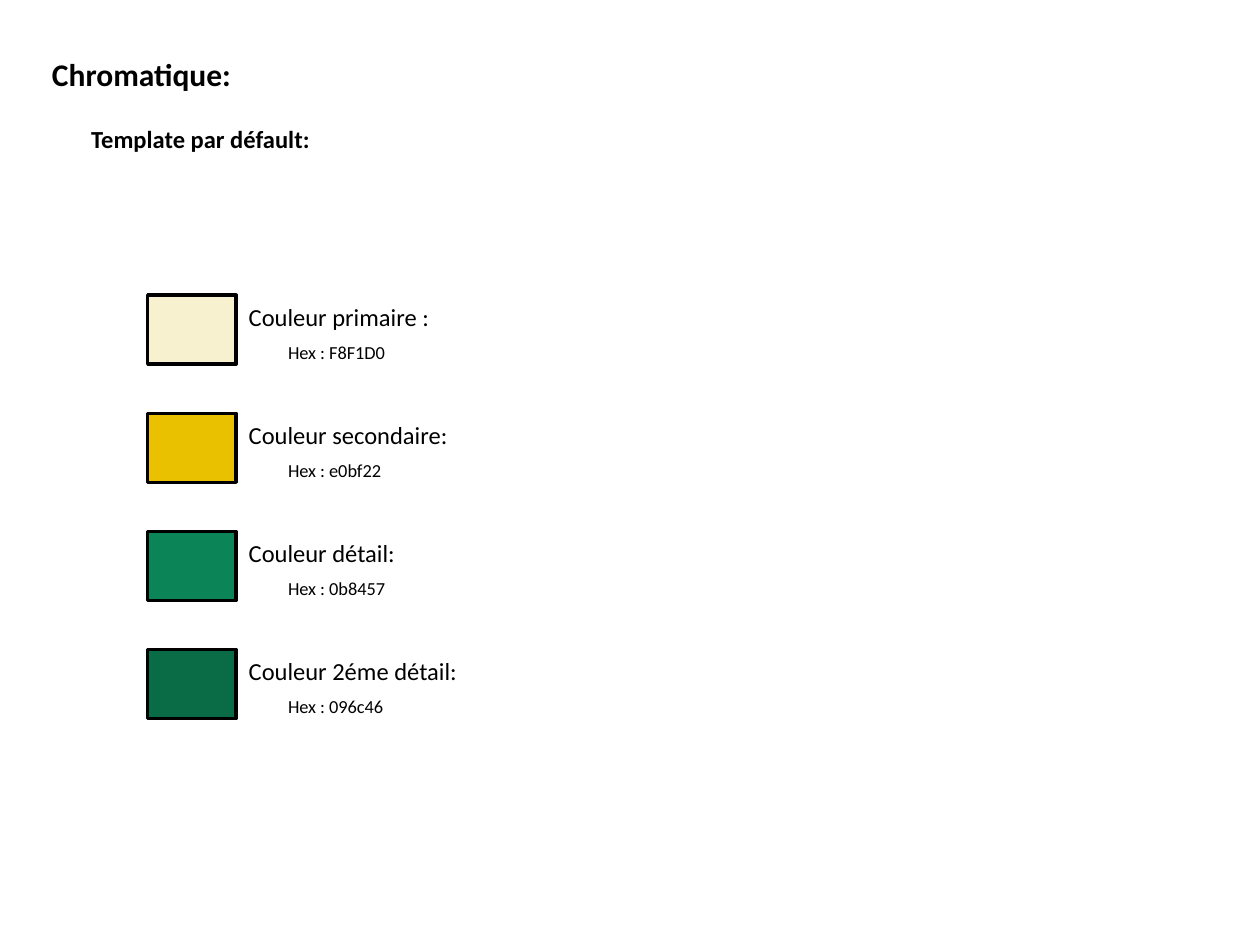
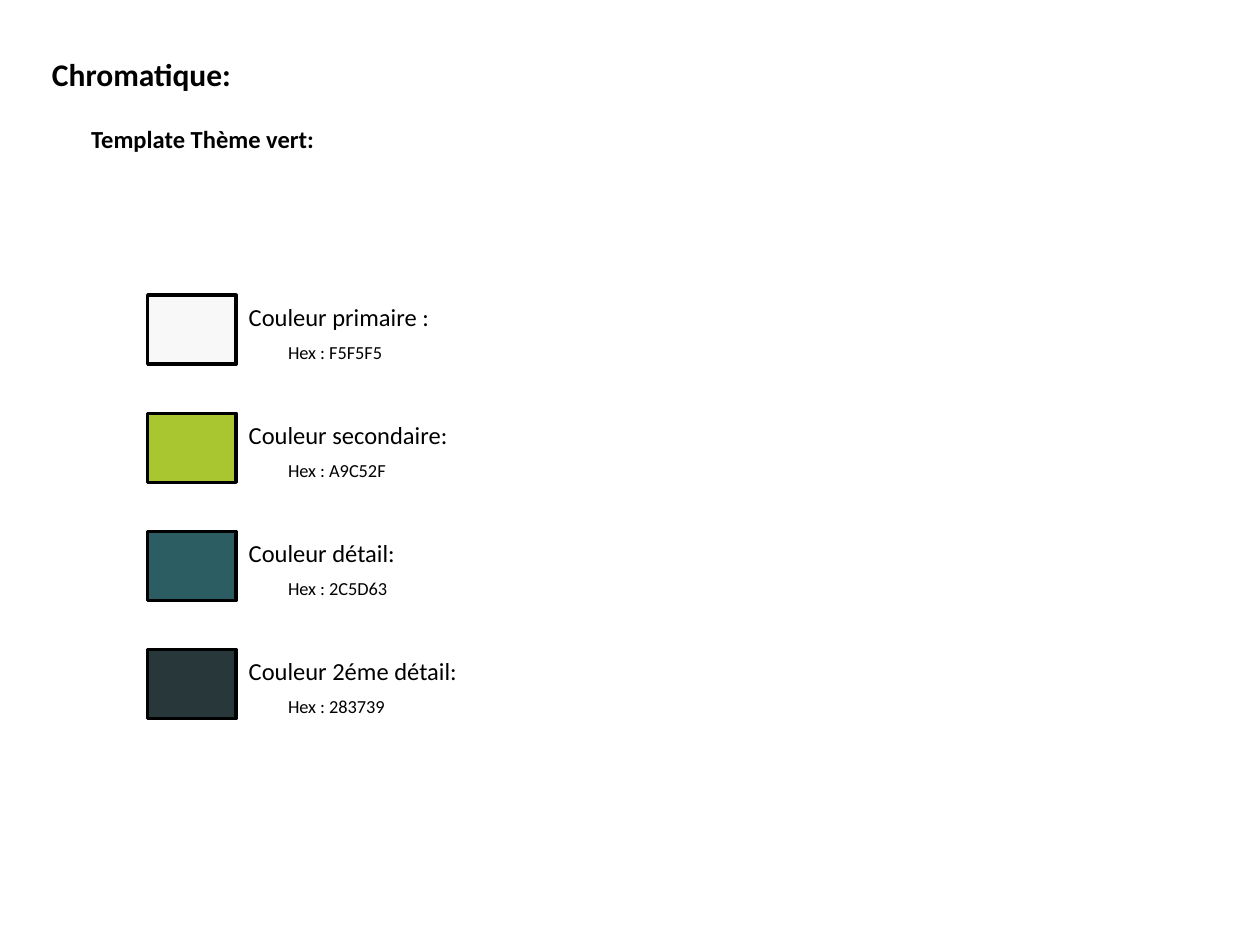
from pptx import Presentation
from pptx.dml.color import RGBColor as RGB
from pptx.enum.shapes import MSO_SHAPE as Shape
from pptx.enum.text import MSO_ANCHOR as Anchor, MSO_AUTO_SIZE as Fit, PP_ALIGN as Align
from pptx.util import Pt

FONT = "Calibri"
BLACK = RGB(0x00, 0x00, 0x00)
CREAM = RGB(0xF7, 0xF1, 0xCF)
GOLD = RGB(0xE9, 0xC1, 0x00)
GREEN = RGB(0x0B, 0x84, 0x57)
FOREST = RGB(0x09, 0x6C, 0x46)
PALE = RGB(0xF8, 0xF8, 0xF8)
LIME = RGB(0xA9, 0xC5, 0x30)
TEAL = RGB(0x2C, 0x5D, 0x62)
SLATE = RGB(0x28, 0x37, 0x3A)

ROLES = ("Couleur primaire :", "Couleur secondaire:", "Couleur détail:", "Couleur 2éme détail:")
THEMES = (
    ("Template par défault:",
     ((CREAM, "F8F1D0"), (GOLD, "e0bf22"), (GREEN, "0b8457"), (FOREST, "096c46"))),
    ("Template Thème vert:",
     ((PALE, "F5F5F5"), (LIME, "A9C52F"), (TEAL, "2C5D63"), (SLATE, "283739"))),
)
STEP = 67.5


def write(slide, text, box, size=14, bold=False, holder=None):
    """Write one line of text in a placeholder or a new text box."""
    left, top, width, height = map(Pt, box)
    item = holder or slide.shapes.add_textbox(left, top, width, height)
    item.left, item.top, item.width, item.height = left, top, width, height
    frame = item.text_frame
    frame.word_wrap = True
    frame.auto_size = Fit.SHAPE_TO_FIT_TEXT
    frame.vertical_anchor = Anchor.TOP
    line = frame.paragraphs[0]
    line.alignment = Align.LEFT
    run = line.add_run()
    run.text = text
    font = run.font
    font.name, font.size, font.bold = FONT, Pt(size), bold
    font.color.rgb = BLACK


def head(slide, theme, left, top):
    """Place the title and the theme name below it."""
    write(slide, "Chromatique:", (left, top, 450, 29), 18, True, slide.shapes.title)
    write(slide, theme, (left + 22.5, top + 39.4, 450, 24.25), bold=True)


def swatch(slide, role, color, code, left, top):
    """Place a colour sample with its role and hex code."""
    width, height = 50.6, 39.4
    tile = slide.shapes.add_shape(Shape.RECTANGLE, Pt(left), Pt(top), Pt(width), Pt(height))
    tile.shadow.inherit = False
    tile.fill.solid()
    tile.fill.fore_color.rgb = color
    tile.line.color.rgb = BLACK
    tile.line.width = Pt(2)
    edge = left + width
    write(slide, role, (edge, top, 247.5, 24.25))
    write(slide, f"Hex : {code}", (edge + 22.5, top + 22.5, 247.5, 20), 10.5)


def chart(deck, theme, colors):
    """Build the slide of one colour theme."""
    slide = deck.slides.add_slide(deck.slide_layouts[5])
    head(slide, theme, 22.5, 28.1)
    for row, (role, (color, code)) in enumerate(zip(ROLES, colors)):
        swatch(slide, role, color, code, 84.4, 168.75 + row * STEP)


def main():
    """Build and save the deck."""
    deck = Presentation()
    deck.slide_width, deck.slide_height = Pt(720), Pt(540)
    for theme, colors in THEMES:
        chart(deck, theme, colors)
    deck.save("out.pptx")


if __name__ == "__main__":
    main()
